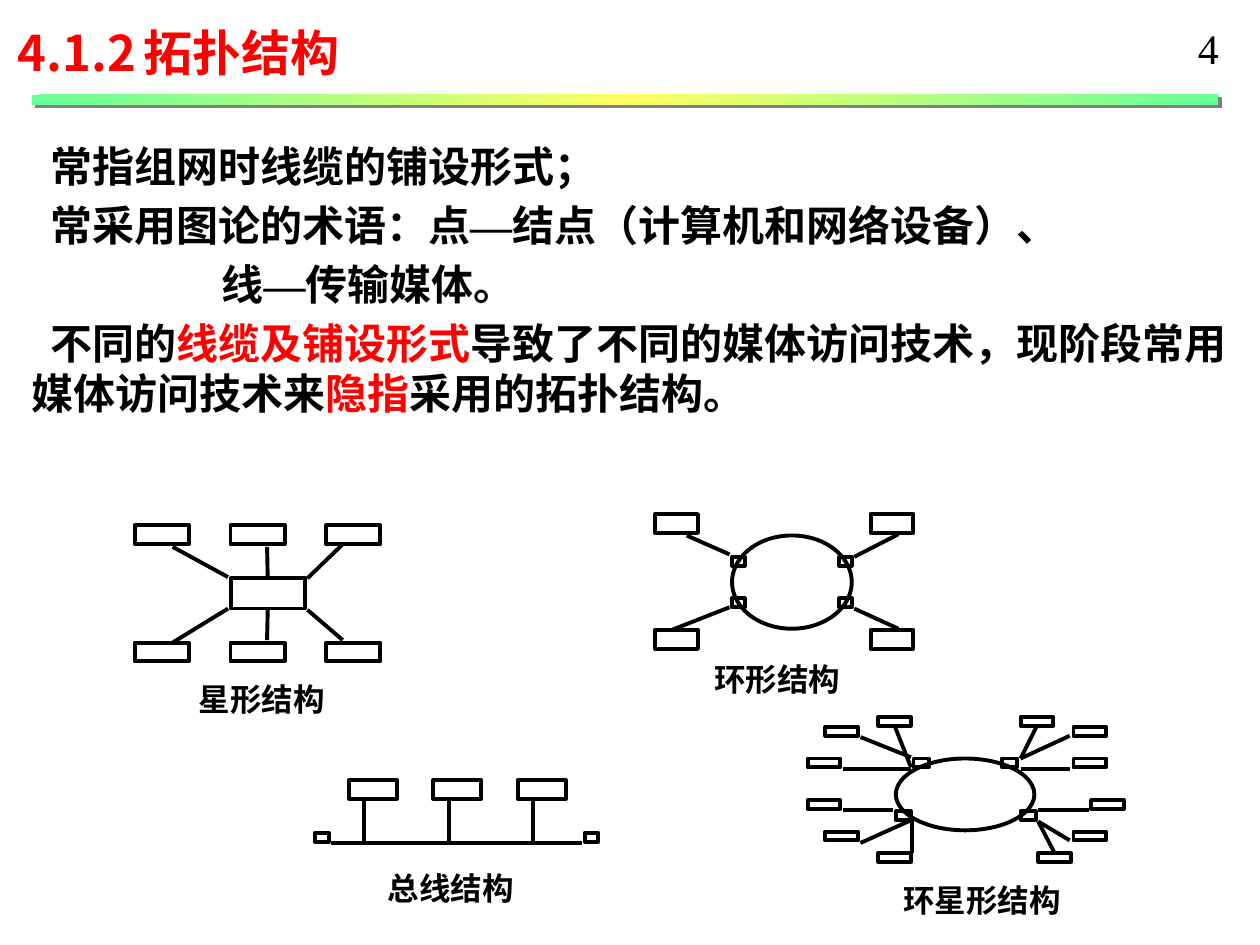
from itertools import product
from lxml import etree
from pptx import Presentation, util as u
from pptx.dml.color import RGBColor
from pptx.enum import shapes, text
from pptx.oxml import parse_xml
from pptx.oxml.ns import qn

PX = u.Inches(1) // 100
BLACK = RGBColor(0, 0, 0)
RED = RGBColor(255, 0, 0)
SANS = "Noto Sans CJK SC"
SERIF = "Times New Roman"
NS = 'xmlns:a="http://schemas.openxmlformats.org/drawingml/2006/main"'
STOPS = [(0, "66FF99"), (50, "FFFF66"), (100, "66FF99")]
GRAY = "808080"
SNAP = 2

TITLE = [(0, [("4.1.2\t拓扑结构", {})])]
DASH = ("—", {"face": SERIF})
BODY = [
    (15, [("常指组网时线缆的铺设形式；", {})]),
    (15, [("常采用图论的术语：点", {}), DASH, ("结点（计算机和网络设备）、", {})]),
    (151, [("线", {}), DASH, ("传输媒体。", {})]),
    (15, [("不同的", {}), ("线缆及铺设形式", {"color": RED}),
          ("导致了不同的媒体访问技术，现阶段常用媒体访问技术来", {}),
          ("隐指", {"color": RED}), ("采用的拓扑结构。", {})]),
]

BUS = [67 * i for i in range(3)]
NETS = [
    {"name": "星形结构", "at": (148, 535, 120, 40),
     "boxes": [((43, 15), list(product((107, 183, 259), (417, 510)))),
               ((59, 24), [(183, 459)])],
     "wires": [(137, 434, 181, 458), (212, 434, 212, 458), (244, 459, 272, 432),
               (244, 484, 272, 508), (212, 484, 212, 508), (137, 510, 181, 483)]},
    {"name": "总线结构", "at": (298, 685, 120, 40),
     "boxes": [((11, 7), [(250, 661), (464, 661)]),
               ((38, 15), [(277 + x, 619) for x in BUS])],
     "wires": [(263, 669, 462, 669)] + [(289 + x, 636, 289 + x, 668) for x in BUS]},
    {"name": "环形结构", "at": (557, 519, 120, 40), "ring": (581, 425, 95, 74),
     "boxes": [((10, 7), list(product((581, 666), (442, 475)))),
               ((34, 15), list(product((520, 691), (408, 500))))],
     "wires": [(545, 425, 579, 440), (533, 500, 579, 482),
               (678, 442, 713, 424), (678, 483, 713, 499)]},
    {"name": "环星形结构", "at": (707, 694, 146, 40), "ring": (711, 602, 110, 57),
     "boxes": [((12, 7), [(725, 602), (795, 602), (711, 644), (810, 644)]),
               ((26, 7), [(810, 569), (852, 577), (852, 602),
                          (866, 635), (824, 677), (852, 660),
                          (641, 635), (655, 660), (697, 677),
                          (697, 569), (655, 577), (641, 602)])],
     "wires": [(810, 602, 821, 576), (810, 602, 849, 584), (810, 610, 849, 610),
               (824, 643, 864, 643), (824, 652, 849, 667), (824, 652, 835, 676),
               (669, 643, 709, 643), (683, 669, 723, 651), (724, 677, 724, 651),
               (711, 577, 723, 609), (683, 585, 723, 601), (669, 610, 723, 610)]},
]


def emu(nums):
    return [u.Emu(n * PX) for n in nums]


def write(home, paras, at, size=24, face=SANS, color=BLACK, bold=True,
          wrap=False, tab=None):
    box = home.add_textbox(*emu(at))
    frame = box.text_frame
    frame.word_wrap = wrap
    frame.auto_size = text.MSO_AUTO_SIZE.SHAPE_TO_FIT_TEXT
    for i, (dent, runs) in enumerate(paras):
        para = frame.add_paragraph() if i else frame.paragraphs[0]
        props = para._p.get_or_add_pPr()
        props.set("marL", "0")
        props.set("indent", str(dent * PX))
        if i:
            para.space_before = u.Pt(size * 0.2)
        if tab:
            tabs = etree.SubElement(props, qn("a:tabLst"))
            etree.SubElement(tabs, qn("a:tab"), pos=str(tab * PX), algn="l")
        for words, style in runs:
            run = para.add_run()
            run.text = words
            font = run.font
            font.size, font.bold = u.Pt(size), bold
            font.name = style.get("face", face)
            font.color.rgb = style.get("color", color)
            etree.SubElement(run._r.get_or_add_rPr(), qn("a:ea"), typeface=font.name)


def ink(line):
    line.color.rgb = BLACK
    line.width = u.Pt(2.25)


def draw(home, kind, at):
    shape = home.add_shape(kind, *emu(at))
    shape.shadow.inherit = False
    shape.fill.background()
    ink(shape.line)
    return shape


def find(boxes, x, y):
    for shape, (l, t, w, h) in boxes:
        mids = [(l + w / 2, t), (l, t + h / 2), (l + w / 2, t + h), (l + w, t + h / 2)]
        for site, (a, b) in enumerate(mids):
            if abs(a - x) <= SNAP and abs(b - y) <= SNAP:
                return shape, site
    return None


def wire(home, boxes, ends):
    line = home.add_connector(shapes.MSO_CONNECTOR.STRAIGHT, *emu(ends))
    ink(line.line)
    etree.SubElement(line._element.spPr, qn("a:effectLst"))
    for join, spot in ((line.begin_connect, ends[:2]), (line.end_connect, ends[2:])):
        hit = find(boxes, *spot)
        if hit:
            join(*hit)


def graph(page, net):
    home = page.add_group_shape().shapes
    if "ring" in net:
        draw(home, shapes.MSO_SHAPE.OVAL, net["ring"])
    boxes = []
    for size, spots in net["boxes"]:
        for spot in spots:
            at = spot + size
            boxes.append((draw(home, shapes.MSO_SHAPE.RECTANGLE, at), at))
    for ends in net["wires"]:
        wire(home, boxes, ends)
    write(home, [(0, [(net["name"], {})])], net["at"], size=18)


def rule(page):
    bar = draw(page, shapes.MSO_SHAPE.RECTANGLE, (25, 75, 942, 8))
    bar.line.fill.background()
    props = bar._element.spPr
    stops = "".join(f'<a:gs pos="{p * 1000}"><a:srgbClr val="{c}"/></a:gs>'
                    for p, c in STOPS)
    props.replace(props.find(qn("a:noFill")), parse_xml(
        f'<a:gradFill {NS} rotWithShape="1"><a:gsLst>{stops}</a:gsLst>'
        '<a:lin ang="2700000" scaled="1"/></a:gradFill>'))
    props.find(qn("a:effectLst")).append(parse_xml(
        f'<a:outerShdw {NS} blurRad="0" dist="{u.Pt(2.8)}" dir="2700000" '
        f'algn="ctr" rotWithShape="0"><a:srgbClr val="{GRAY}"/></a:outerShdw>'))


def main():
    deck = Presentation()
    deck.slide_width, deck.slide_height = emu((1000, 750))
    page = deck.slides.add_slide(deck.slide_layouts[6]).shapes
    for net in NETS:
        graph(page, net)
    rule(page)
    write(page, [(0, [("4", {})])], (941, 13, 37, 50), face=SERIF, bold=False)
    write(page, BODY, (15, 107, 985, 236), wrap=True)
    write(page, TITLE, (4, 13, 315, 57), size=28, color=RED, wrap=True, tab=120)
    deck.save("out.pptx")


if __name__ == "__main__":
    main()
